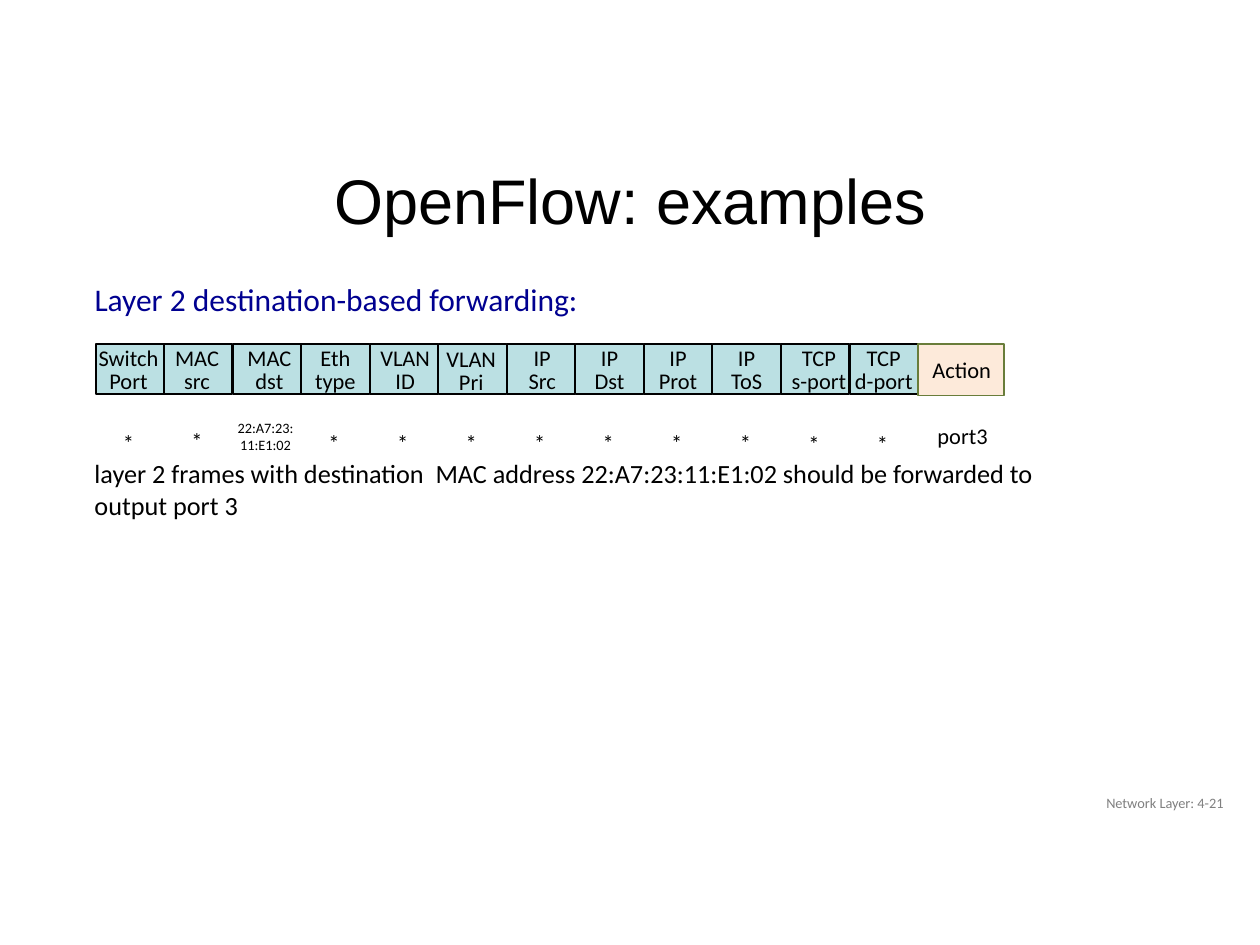
from dataclasses import dataclass

from pptx import Presentation
from pptx.dml.color import RGBColor
from pptx.enum import shapes, text
from pptx.util import Inches, Pt

BLACK = RGBColor(0x00, 0x00, 0x00)
NAVY = RGBColor(0x00, 0x00, 0x90)
GRAY = RGBColor(0x80, 0x80, 0x80)
TEAL = RGBColor(0xBB, 0xE0, 0xE3)
PEACH = RGBColor(0xFD, 0xEA, 0xDA)
OLIVE = RGBColor(0x69, 0x7D, 0x3A)

LEFT, TOP, STEP = 0.76, 2.73, 0.544
CELL_W, CELL_H = 0.54, 0.4
LABEL_H, MATCH_H = 0.43, 0.26


@dataclass(frozen=True)
class Field:
    label: str
    match: str = "*"
    match_size: float = 12.8
    match_top: float = 3.38
    dx: float = 0
    dy: float = 0


FIELDS = [
    Field("Switch\nPort", dx=-0.01),
    Field("MAC\nsrc", match_top=3.37, dx=-0.01),
    Field("MAC\ndst", "22:A7:23:\n11:E1:02", 8.2, 3.33, dx=0.02),
    Field("Eth\ntype"),
    Field("VLAN\nID", dx=0.01),
    Field("VLAN\nPri", dx=-0.01, dy=0.01),
    Field("IP\nSrc", dx=0.01),
    Field("IP\nDst"),
    Field("IP\nProt"),
    Field("IP\nToS"),
    Field("TCP\ns-port", match_top=3.39, dx=0.03),
    Field("TCP\nd-port", match_top=3.39),
]


def add_text(slide, content: str, x: float, y: float, w: float, h: float, *,
             size: float = 12.8, font: str = "Calibri",
             color: RGBColor = BLACK, align=text.PP_ALIGN.CENTER,
             spacing: float = 1.0, inset: tuple = (0, 0),
             wrap: bool = True) -> None:
    tf = slide.shapes.add_textbox(
        Inches(x), Inches(y), Inches(w), Inches(h)).text_frame
    tf.word_wrap = wrap
    tf.vertical_anchor = text.MSO_ANCHOR.MIDDLE
    tf.margin_left = tf.margin_right = Inches(inset[0])
    tf.margin_top = tf.margin_bottom = Inches(inset[1])
    for i, line in enumerate(content.split("\n")):
        p = tf.paragraphs[0] if i == 0 else tf.add_paragraph()
        p.alignment = align
        p.line_spacing = spacing
        r = p.add_run()
        r.text = line
        r.font.size = Pt(size)
        r.font.name = font
        r.font.color.rgb = color


def add_cell(slide, x: float, w: float, h: float,
             fill: RGBColor, line: RGBColor) -> None:
    sp = slide.shapes.add_shape(shapes.MSO_SHAPE.RECTANGLE,
                                Inches(x), Inches(TOP), Inches(w), Inches(h))
    sp.shadow.inherit = False
    sp.fill.solid()
    sp.fill.fore_color.rgb = fill
    sp.line.color.rgb = line
    sp.line.width = Pt(1)


def add_field(slide, field: Field, x: float) -> None:
    add_cell(slide, x, CELL_W, CELL_H, TEAL, BLACK)
    add_text(slide, field.label, x + field.dx, TOP + field.dy,
             CELL_W, LABEL_H, spacing=0.85)
    add_text(slide, field.match, x - 0.01, field.match_top, CELL_W, MATCH_H,
             size=field.match_size)


def main() -> None:
    prs = Presentation()
    prs.slide_width, prs.slide_height = Inches(10), Inches(7.5)
    s = prs.slides.add_slide(prs.slide_layouts[6])
    left = text.PP_ALIGN.LEFT

    add_text(s, "OpenFlow: examples", 0.69, 1.22, 8.62, 0.73,
             size=36, font="Arial", inset=(0.1, 0.05))
    add_text(s, "Layer 2 destination-based forwarding:", 0.75, 2.22, 3.88, 0.3,
             size=18, color=NAVY, align=left, wrap=False)
    add_text(s, "layer 2 frames with destination  MAC address 22:A7:23:11:E1:02 "
             "should be forwarded to output port 3", 0.75, 3.63, 7.66, 0.5,
             size=15, align=left)

    for i, field in enumerate(FIELDS):
        add_field(s, field, LEFT + i * STEP)

    action_x = LEFT + len(FIELDS) * STEP
    add_cell(s, action_x, 0.68, 0.41, PEACH, OLIVE)
    add_text(s, "Action", action_x, 2.83, 0.69, 0.24, spacing=0.85)
    add_text(s, "port3", 7.37, 3.33, CELL_W, MATCH_H)

    add_text(s, "Network Layer: 4-21", 7.56, 6.22, 2.25, 0.3, size=8.2,
             color=GRAY, align=text.PP_ALIGN.RIGHT, inset=(0.1, 0.05))
    prs.save("out.pptx")


if __name__ == "__main__":
    main()
